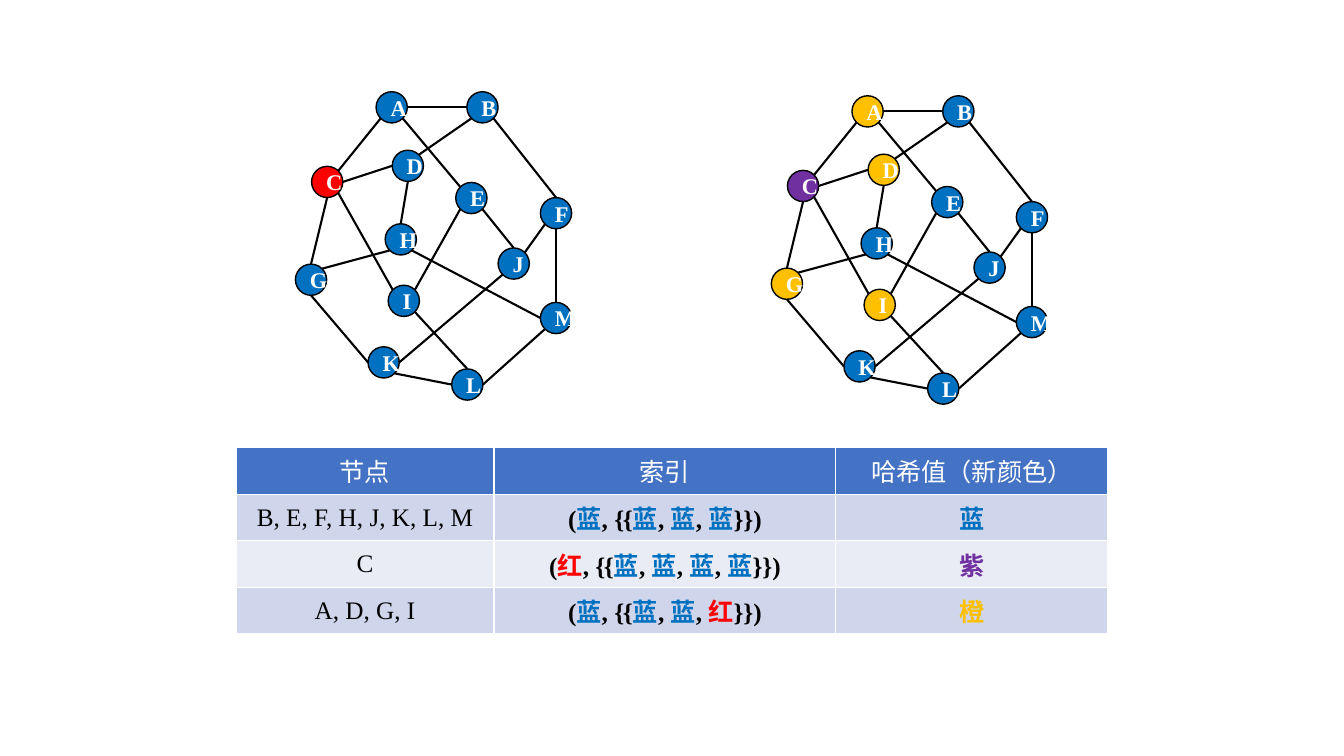
from dataclasses import dataclass, field
from math import cos, radians, sin
from typing import Any

from lxml.etree import SubElement
from pptx import Presentation
from pptx.dml.color import RGBColor
from pptx.enum.shapes import MSO_CONNECTOR as Connector, MSO_SHAPE as Preset
from pptx.enum.text import MSO_ANCHOR as Anchor, PP_ALIGN as Align
from pptx.oxml.ns import qn
from pptx.util import Inches, Pt


@dataclass(frozen=True)
class Theme:
    font: str = "Times New Roman"
    node_size: Pt = Pt(16)
    table_size: Pt = Pt(18)
    outline: Pt = Pt(1)
    edge: Pt = Pt(1.5)
    black: str = "000000"
    white: str = "FFFFFF"
    header: str = "4472C4"
    bands: tuple[str, str] = ("CFD5EA", "E9EBF5")
    labels: dict[str, str] = field(default_factory=lambda: {
        "蓝": "0070C0", "红": "FF0000", "紫": "7030A0", "橙": "FFC000"})


@dataclass(frozen=True)
class Run:
    text: str
    color: str
    bold: bool = False
    spacing: float = 0


@dataclass(frozen=True)
class Edge:
    start: str
    start_side: str
    end: str
    end_side: str


@dataclass(frozen=True)
class Graph:
    left: float
    top: float
    colors: dict[str, str]


@dataclass(frozen=True)
class ColorClass:
    nodes: str
    own: str
    neighbours: str
    result: str


THEME = Theme()
DIAMETER = 0.31
ANGLES = {"E": 0, "SE": 45, "S": 90, "SW": 135, "W": 180, "NW": 225, "N": 270, "NE": 315}
# Top left corner of each node, measured from the corner of its graph
NODES = {
    "A": (0.80, 0), "C": (0.16, 0.74), "B": (1.70, 0), "D": (0.96, 0.58),
    "E": (1.59, 0.90), "F": (2.43, 1.05), "H": (0.89, 1.31), "G": (0, 1.71),
    "J": (2.01, 1.55), "K": (0.72, 2.53), "L": (1.55, 2.75), "M": (2.43, 2.09),
    "I": (0.92, 1.92),
}
EDGES = [Edge(*ends.split()) for ends in (
    "A SW C NE", "A SE E NW", "E SE J N", "F SW J NE", "J SW K E", "A E B W", "B SE F N",
    "C S G N", "K W G S", "K SE L W", "L E M SW", "F S M N", "B SW D NE", "D W C E",
    "L N I SE", "D S H N", "M W H SE", "H SW G NE", "E SW I NE", "I NW C SE",
)]
GRAPHS = [
    Graph(2.93, 0.91, {"C": "红"}),
    Graph(7.65, 0.95, {"C": "紫"} | dict.fromkeys("ADGI", "橙")),
]
HEADINGS = ["节点", "索引", "哈希值（新颜色）"]
COLUMN_WIDTHS = [2.56, 3.39, 2.7]
CLASSES = [
    ColorClass("B, E, F, H, J, K, L, M", "蓝", "蓝蓝蓝", "蓝"),
    ColorClass("C", "红", "蓝蓝蓝蓝", "紫"),
    ColorClass("A, D, G, I", "蓝", "蓝蓝红", "橙"),
]


def set_attributes(target: Any, values: dict[str, Any]) -> None:
    for name, value in values.items():
        setattr(target, name, value)


def fill_solid(target: Any, color: str) -> None:
    target.fill.solid()
    target.fill.fore_color.rgb = RGBColor.from_string(color)


def draw_line(line: Any, width: Pt) -> None:
    line.color.rgb = RGBColor.from_string(THEME.black)
    line.width = width


def write_runs(paragraph: Any, runs: list[Run], size: Pt) -> None:
    paragraph.alignment = Align.CENTER
    for item in runs:
        run = paragraph.add_run()
        run.text = item.text
        set_attributes(run.font, {"name": THEME.font, "size": size, "bold": item.bold})
        run.font.color.rgb = RGBColor.from_string(item.color)
        if item.spacing:
            run.font._element.set("spc", str(round(item.spacing * 100)))


def draw_node(slide: Any, graph: Graph, name: str) -> None:
    x, y = NODES[name]
    shape = slide.shapes.add_shape(Preset.OVAL, Inches(graph.left + x), Inches(graph.top + y),
                                   Inches(DIAMETER), Inches(DIAMETER))
    shape.shadow.inherit = False
    fill_solid(shape, THEME.labels[graph.colors.get(name, "蓝")])
    draw_line(shape.line, THEME.outline)
    set_attributes(shape.text_frame, {"word_wrap": True, "vertical_anchor": Anchor.MIDDLE})
    write_runs(shape.text_frame.paragraphs[0], [Run(name, THEME.white, True)], THEME.node_size)


def rim_point(graph: Graph, name: str, side: str) -> tuple[Inches, Inches]:
    """Return the point on the rim of a node that faces a compass direction."""
    x, y = NODES[name]
    angle, radius = radians(ANGLES[side]), DIAMETER / 2
    return (Inches(graph.left + x + radius * (1 + cos(angle))),
            Inches(graph.top + y + radius * (1 + sin(angle))))


def draw_edge(slide: Any, graph: Graph, edge: Edge) -> None:
    connector = slide.shapes.add_connector(
        Connector.STRAIGHT, *rim_point(graph, edge.start, edge.start_side),
        *rim_point(graph, edge.end, edge.end_side))
    draw_line(connector.line, THEME.edge)
    SubElement(connector._element.spPr, qn("a:effectLst"))


def draw_graph(slide: Any, graph: Graph) -> None:
    for name in NODES:
        draw_node(slide, graph, name)
    for edge in EDGES:
        draw_edge(slide, graph, edge)


def label_run(label: str) -> Run:
    return Run(label, THEME.labels[label], True)


def index_runs(row: ColorClass) -> list[Run]:
    """Spell out a node's own colour and the multiset of its neighbours' colours."""
    comma = Run(", ", THEME.black, True)
    runs = [Run("(", THEME.black, True), label_run(row.own), comma,
            Run("{{", THEME.black, True, -1)]
    for position, label in enumerate(row.neighbours):
        runs += [comma, label_run(label)] if position else [label_run(label)]
    return runs + [Run("}}", THEME.black, True, -0.1), Run(")", THEME.black, True)]


def draw_table(slide: Any) -> None:
    rows = [[[Run(heading, THEME.white)] for heading in HEADINGS]]
    rows += [[[Run(row.nodes, THEME.black)], index_runs(row), [label_run(row.result)]]
             for row in CLASSES]
    table = slide.shapes.add_table(len(rows), len(HEADINGS), Inches(2.34), Inches(4.44),
                                   Inches(sum(COLUMN_WIDTHS)), Inches(1.62)).table
    for column, width in zip(table.columns, COLUMN_WIDTHS):
        column.width = Inches(width)
    for row_index, row in enumerate(rows):
        color = THEME.bands[(row_index - 1) % 2] if row_index else THEME.header
        for column_index, runs in enumerate(row):
            cell = table.cell(row_index, column_index)
            cell.vertical_anchor = Anchor.MIDDLE
            fill_solid(cell, color)
            write_runs(cell.text_frame.paragraphs[0], runs, THEME.table_size)


def main() -> None:
    presentation = Presentation()
    set_attributes(presentation, {"slide_width": Inches(13.33), "slide_height": Inches(7.5)})
    slide = presentation.slides.add_slide(presentation.slide_layouts[6])
    for graph in GRAPHS:
        draw_graph(slide, graph)
    draw_table(slide)
    presentation.save("out.pptx")


if __name__ == "__main__":
    main()
